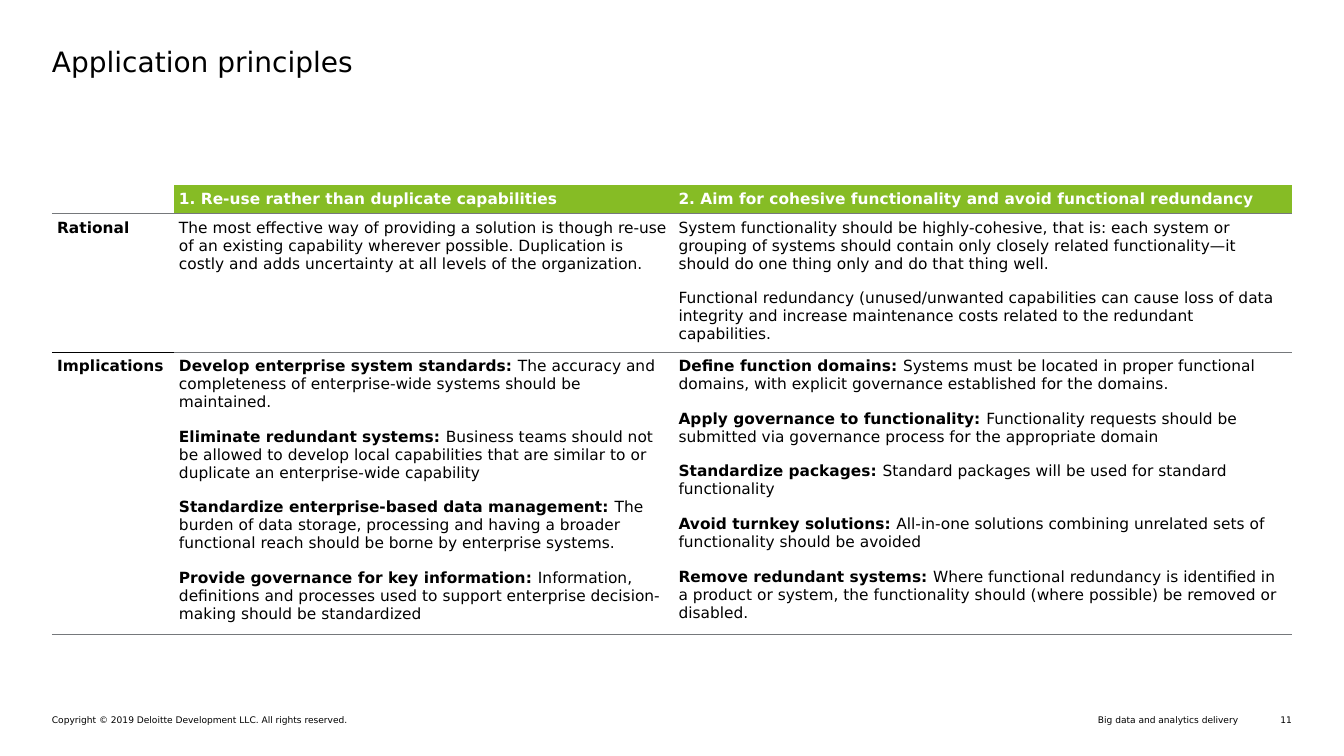
from dataclasses import dataclass

from lxml import etree
from pptx import Presentation
from pptx.dml.color import RGBColor
from pptx.enum.text import PP_ALIGN
from pptx.oxml.ns import qn
from pptx.util import Cm, Pt

LEFT, RIGHT = PP_ALIGN.LEFT, PP_ALIGN.RIGHT
FONT = "DejaVu Sans"
COLORS = {"text": "000000", "white": "FFFFFF", "green": "86BC25", "rule": "75787B"}
INSET = Cm(0.13)
TABLE_SIZE = 11


@dataclass(frozen=True)
class Label:
    text: str
    left: float
    top: float
    width: float
    height: float
    size: float
    align: PP_ALIGN = LEFT


@dataclass(frozen=True)
class Point:
    """A paragraph with an optional bold lead-in."""
    lead: str
    body: str = ""


@dataclass(frozen=True)
class Rule:
    color: str
    width: float


GREY_RULE = Rule("rule", 0.5)
BLACK_RULE = Rule("text", 0.25)

LABELS = [
    Label("Application principles", 1.31, 1.12, 31.27, 1.93, 20),
    Label("Copyright © 2019 Deloitte Development LLC. All rights reserved.",
          1.31, 18, 14.88, 0.28, 6.5),
    Label("Big data and analytics delivery", 17.6, 18, 13.61, 0.28, 6.5, RIGHT),
    Label("11", 31.7, 18, 0.86, 0.28, 6.5, RIGHT),
]

COLUMN_WIDTHS = [3.07, 12.59, 15.6]
ROW_HEIGHTS = [0.71, 3.4, 6.96]
ROWS = [
    [
        [],
        [Point("1. Re-use rather than duplicate capabilities")],
        [Point("2. Aim for cohesive functionality and avoid functional redundancy")],
    ],
    [
        [Point("Rational")],
        [Point("", "The most effective way of providing a solution is though re-use of an "
                   "existing capability wherever possible. Duplication is costly and adds "
                   "uncertainty at all levels of the organization.")],
        [Point("", "System functionality should be highly-cohesive, that is: each system or "
                   "grouping of systems should contain only closely related functionality—it "
                   "should do one thing only and do that thing well."),
         Point("", "Functional redundancy (unused/unwanted capabilities can cause loss of "
                   "data integrity and increase maintenance costs related to the redundant "
                   "capabilities.")],
    ],
    [
        [Point("Implications")],
        [Point("Develop enterprise system standards: ",
               "The accuracy and completeness of enterprise-wide systems should be maintained."),
         Point("Eliminate redundant systems: ",
               "Business teams should not be allowed to develop local capabilities that are "
               "similar to or duplicate an enterprise-wide capability"),
         Point("Standardize enterprise-based data management: ",
               "The burden of data storage, processing and having a broader functional reach "
               "should be borne by enterprise systems."),
         Point("Provide governance for key information: ",
               "Information, definitions and processes used to support enterprise "
               "decision-making should be standardized")],
        [Point("Define function domains: ",
               "Systems must be located in proper functional domains, with explicit "
               "governance established for the domains."),
         Point("Apply governance to functionality: ",
               "Functionality requests should be submitted via governance process for the "
               "appropriate domain"),
         Point("Standardize packages: ",
               "Standard packages will be used for standard functionality"),
         Point("Avoid turnkey solutions: ",
               "All-in-one solutions combining unrelated sets of functionality should be avoided"),
         Point("Remove redundant systems: ",
               "Where functional redundancy is identified in a product or system, the "
               "functionality should (where possible) be removed or disabled.")],
    ],
]


def add_run(paragraph, text: str, *, size: float, color: str = "text",
            bold: bool = False) -> None:
    run = paragraph.add_run()
    run.text = text
    run.font.name = FONT
    run.font.size = Pt(size)
    run.font.bold = bold
    run.font.color.rgb = RGBColor.from_string(COLORS[color])


def add_label(slide, label: Label) -> None:
    box = slide.shapes.add_textbox(Cm(label.left), Cm(label.top),
                                   Cm(label.width), Cm(label.height))
    frame = box.text_frame
    frame.word_wrap = True
    frame.margin_left = frame.margin_right = frame.margin_top = frame.margin_bottom = 0
    paragraph = frame.paragraphs[0]
    paragraph.alignment = label.align
    add_run(paragraph, label.text, size=label.size)


def rule_below(row: int, column: int) -> Rule:
    return BLACK_RULE if (row, column) == (1, 0) else GREY_RULE


def set_borders(cell, top: Rule | None, bottom: Rule) -> None:
    properties = cell._tc.get_or_add_tcPr()
    for tag, rule in (("a:lnL", None), ("a:lnR", None), ("a:lnT", top), ("a:lnB", bottom)):
        line = etree.SubElement(properties, qn(tag))
        if rule is None:
            line.set("w", "0")
            etree.SubElement(line, qn("a:noFill"))
        else:
            line.set("w", str(int(Pt(rule.width))))
            fill = etree.SubElement(line, qn("a:solidFill"))
            etree.SubElement(fill, qn("a:srgbClr"), val=COLORS[rule.color])


def fill_cell(cell, points: list[Point], row: int, column: int) -> None:
    is_header = row == 0
    cell.margin_left = cell.margin_right = cell.margin_top = cell.margin_bottom = INSET
    set_borders(cell, None if is_header else rule_below(row - 1, column),
                rule_below(row, column))

    # Header captions sit on green, all other cells are clear
    if is_header and column > 0:
        cell.fill.solid()
        cell.fill.fore_color.rgb = RGBColor.from_string(COLORS["green"])
    else:
        cell.fill.background()

    frame = cell.text_frame
    if not points:
        # An empty cell needs a small font to keep its row low
        etree.SubElement(frame.paragraphs[0]._p, qn("a:endParaRPr"), sz=str(TABLE_SIZE * 100))
    for index, point in enumerate(points):
        paragraph = frame.add_paragraph() if index else frame.paragraphs[0]
        if point.body:
            paragraph.space_after = Pt(12)
        if point.lead:
            add_run(paragraph, point.lead, size=TABLE_SIZE, bold=True,
                    color="white" if is_header else "text")
        if point.body:
            add_run(paragraph, point.body, size=TABLE_SIZE)


def add_principles_table(slide) -> None:
    frame = slide.shapes.add_table(len(ROWS), len(COLUMN_WIDTHS), Cm(1.31), Cm(4.66),
                                   Cm(sum(COLUMN_WIDTHS)), Cm(sum(ROW_HEIGHTS)))
    table = frame.table
    table.first_row = table.horz_banding = False
    for column, width in zip(table.columns, COLUMN_WIDTHS):
        column.width = Cm(width)
    for row, height in zip(table.rows, ROW_HEIGHTS):
        row.height = Cm(height)
    for row_index, cells in enumerate(ROWS):
        for column_index, points in enumerate(cells):
            fill_cell(table.cell(row_index, column_index), points, row_index, column_index)


def main() -> None:
    presentation = Presentation()
    presentation.slide_width, presentation.slide_height = Cm(33.87), Cm(19.05)
    slide = presentation.slides.add_slide(presentation.slide_layouts[6])

    # Title and footer
    for label in LABELS:
        add_label(slide, label)

    # Principles
    add_principles_table(slide)
    presentation.save("out.pptx")


if __name__ == "__main__":
    main()
